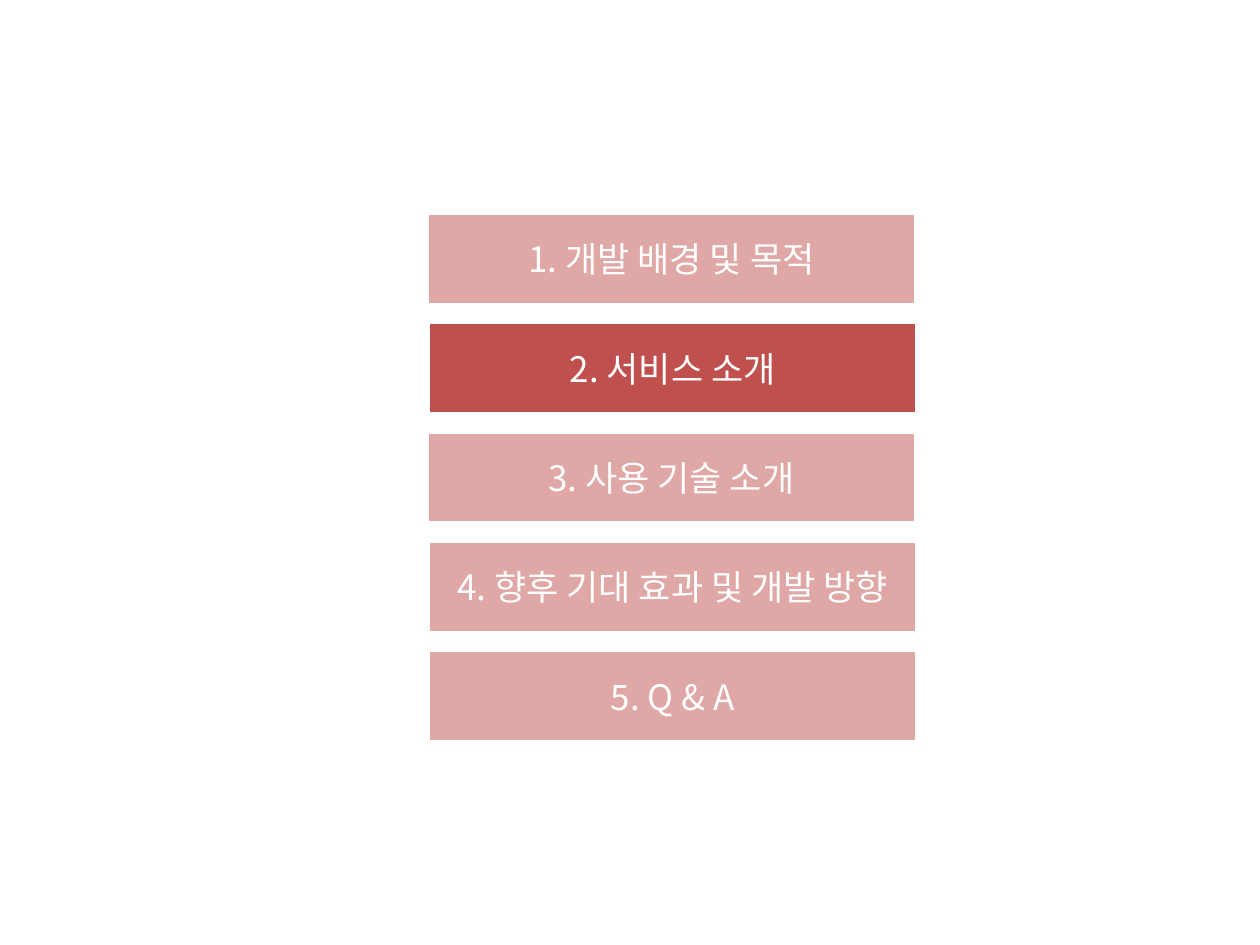
from lxml.etree import SubElement
from pptx import Presentation
from pptx.dml.color import RGBColor
from pptx.enum.shapes import MSO_SHAPE
from pptx.enum.text import MSO_ANCHOR, PP_ALIGN
from pptx.oxml.ns import qn
from pptx.util import Inches, Pt

RED = RGBColor(0xC0, 0x50, 0x4D)
WHITE = RGBColor(0xFF, 0xFF, 0xFF)
FONT = "Noto Sans CJK KR"

# Label and left offset of each agenda bar
ITEMS = [
    ("1. 개발 배경 및 목적", 0),
    ("2. 서비스 소개", 0.01),
    ("3. 사용 기술 소개", 0),
    ("4. 향후 기대 효과 및 개발 방향", 0.01),
    ("5. Q & A", 0.01),
]
ACTIVE = 1


def add_bar(slide, left, top, width, height, label, active):
    bar = slide.shapes.add_shape(
        MSO_SHAPE.RECTANGLE, Inches(left), Inches(top), Inches(width), Inches(height))
    bar.shadow.inherit = False
    bar.fill.solid()
    bar.fill.fore_color.rgb = RED
    bar.line.color.rgb = WHITE
    bar.line.width = Pt(1)

    # Bars other than the current one are half transparent
    if not active:
        color = bar.fill._xPr.find(qn("a:solidFill"))[0]
        SubElement(color, qn("a:alpha"), val="50000")

    # Centred label
    frame = bar.text_frame
    frame.word_wrap = True
    frame.vertical_anchor = MSO_ANCHOR.MIDDLE
    para = frame.paragraphs[0]
    para.alignment = PP_ALIGN.CENTER
    run = para.add_run()
    run.text = label
    run.font.size = Pt(20)
    run.font.name = FONT
    run.font.color.rgb = WHITE
    SubElement(run.font._element, qn("a:ea"), typeface=FONT)


def add_agenda(slide, left, top, width, height):
    bar_height = 0.71
    step = (height - bar_height) / (len(ITEMS) - 1)
    for i, (label, shift) in enumerate(ITEMS):
        add_bar(slide, left + shift, top + i * step, width, bar_height,
                label, i == ACTIVE)


def main():
    deck = Presentation()
    deck.slide_width = Inches(10)
    deck.slide_height = Inches(7.5)
    slide = deck.slides.add_slide(deck.slide_layouts[6])
    add_agenda(slide, 3.4, 1.7, 3.86, 4.18)
    deck.save("out.pptx")


if __name__ == "__main__":
    main()
